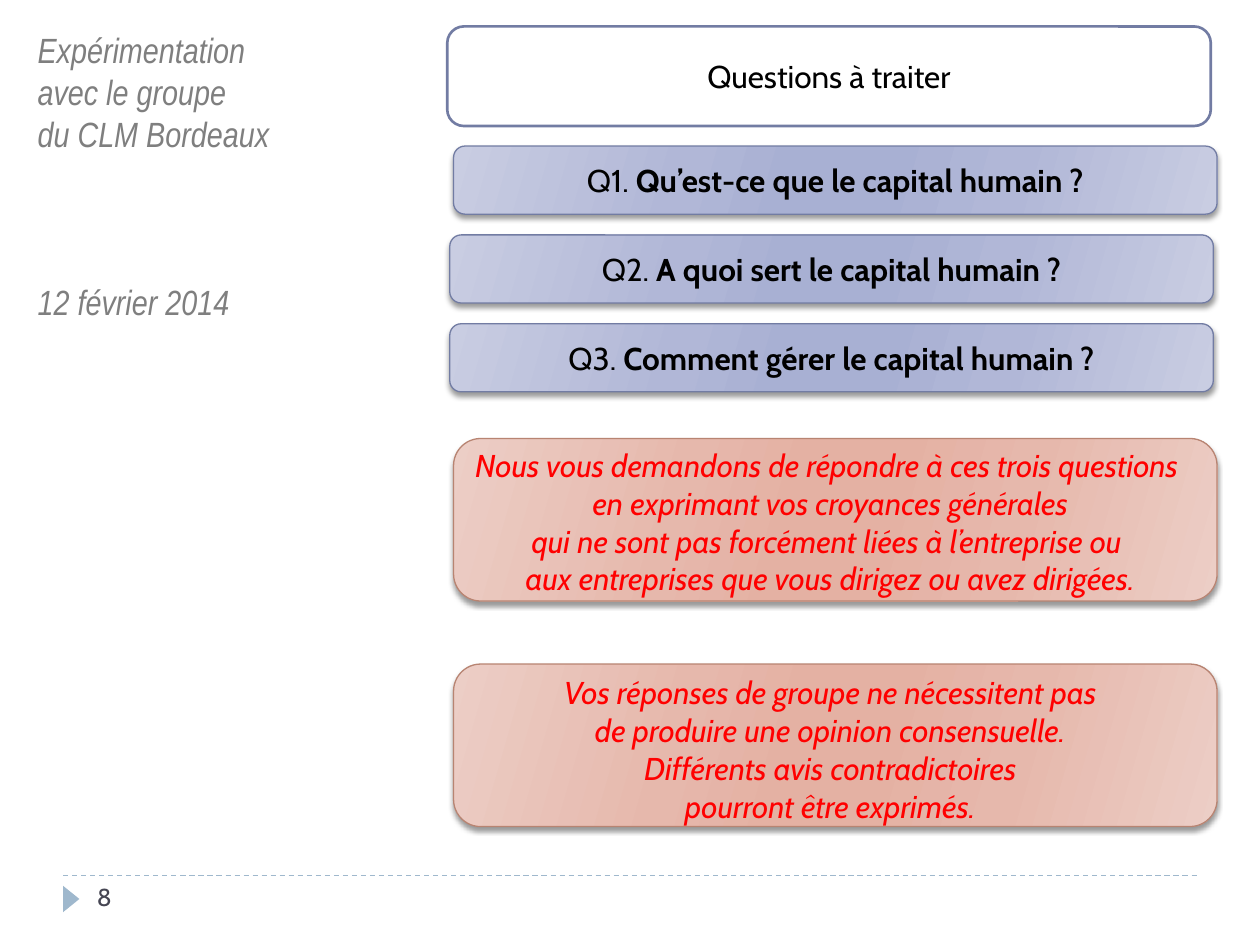
"""Build the slide that sets out the three questions on human capital."""
from dataclasses import dataclass

import lxml.etree
import pptx
import pptx.dml.color
import pptx.enum.dml
import pptx.enum.shapes
import pptx.enum.text
import pptx.oxml.ns
import pptx.util

COLUMNS, ROWS = 100, 75
COLOURS = {
    "paper": "FFFFFF", "ink": "000000", "number": "464653", "aside": "7F7F7F",
    "advice": "FF0000", "footer": "9FB8CD", "question": "727CA3", "note": "B88472",
}
GRADIENTS = {
    "question": ("C9CDE2", "B1B7D7", "A8B0D3"),
    "note": ("ECCEC6", "E6B8AC", "E4B1A3"),
}
STOPS = ((0, 0), (30, 1), (45, 2), (55, 2), (73, 1), (100, 0))
SHAPES = pptx.enum.shapes.MSO_SHAPE
CENTRE = pptx.enum.text.PP_ALIGN.CENTER
LEFT = pptx.enum.text.PP_ALIGN.LEFT


@dataclass(frozen=True)
class Area:
    """A place on the grid, in columns and rows."""
    column: float
    row: float
    columns: float
    rows: float


@dataclass(frozen=True)
class Style:
    """The look of a text."""
    font: str
    size: float
    colour: str
    italic: bool = False
    align: int = LEFT


@dataclass(frozen=True)
class Line:
    """One paragraph: plain words, bold words and the space before it."""
    plain: str
    bold: str = ""
    gap: float = 0


@dataclass(frozen=True)
class Panel:
    """A rounded panel with a colour theme and an optional heading."""
    area: Area
    theme: str
    heading: Line | None = None
    shaded: bool = True


LABEL = Style("Cabin", 18, "ink", align=CENTRE)
ADVICE = Style("Cabin", 18, "advice", True, CENTRE)
ASIDE = Style("Arial Narrow", 20, "aside", True)
NUMBER = Style("Cabin", 14, "number")

QUESTIONS = (
    (36, "Qu’est-ce que le capital humain ?"),
    (35.7, "A quoi sert le capital humain ?"),
    (35.7, "Comment gérer le capital humain ?"),
)
NOTES = [Panel(Area(36, 34.8 + 17.9 * i, 60.6, 12.9), "note") for i in range(2)]
HEADINGS = [
    Panel(Area(column, 11.6 + 7.05 * i, 60.6, 5.4), "question", Line(f"Q{i + 1}. ", question))
    for i, (column, question) in enumerate(QUESTIONS)
] + [Panel(Area(35.5, 2.1, 60.6, 7.9), "question", Line("Questions à traiter"), False)]
INSTRUCTIONS = (
    Line("Nous vous demandons de répondre à ces trois questions "),
    Line("en exprimant vos croyances générales"),
    Line("qui ne sont pas forcément liées à l’entreprise ou "),
    Line("aux entreprises que vous dirigez ou avez dirigées."),
    Line("Vos réponses de groupe ne nécessitent pas", gap=43.5),
    Line("de produire une opinion consensuelle."),
    Line("Différents avis contradictoires"),
    Line("pourront être exprimés."),
)
CONTEXT = (
    Line("Expérimentation"),
    Line("avec le groupe"),
    Line("du CLM Bordeaux"),
    Line("12 février 2014", gap=72),
)


def rgb(name: str) -> pptx.dml.color.RGBColor:
    return pptx.dml.color.RGBColor.from_string(COLOURS[name])


def across(columns: float, slide_width: int) -> int:
    return round(columns / COLUMNS * slide_width)


def down(rows: float, slide_height: int) -> int:
    return round(rows / ROWS * slide_height)


def place(area: Area, deck) -> tuple[int, int, int, int]:
    width, height = deck.slide_width, deck.slide_height
    return (across(area.column, width), down(area.row, height),
            across(area.columns, width), down(area.rows, height))


def add_child(parent, tag: str, **attributes):
    return lxml.etree.SubElement(
        parent, pptx.oxml.ns.qn(tag), {key: str(value) for key, value in attributes.items()})


def write(frame, lines: tuple[Line, ...], style: Style) -> None:
    frame.word_wrap = True
    for index, line in enumerate(lines):
        paragraph = frame.add_paragraph() if index else frame.paragraphs[0]
        paragraph.alignment = style.align
        if line.gap:
            paragraph.space_before = pptx.util.Pt(line.gap)
        for words, bold in ((line.plain, False), (line.bold, True)):
            if words:
                run = paragraph.add_run()
                run.text = words
                run.font.name = style.font
                run.font.size = pptx.util.Pt(style.size)
                run.font.color.rgb = rgb(style.colour)
                run.font.bold = bold
                run.font.italic = style.italic


def shade(shape, theme: str) -> None:
    shape.fill.gradient()
    properties = shape.element.spPr
    gradient = properties.find(pptx.oxml.ns.qn("a:gradFill"))
    for child in list(gradient):
        gradient.remove(child)
    stops = add_child(gradient, "a:gsLst")
    for position, tone in STOPS:
        stop = add_child(stops, "a:gs", pos=position * 1000)
        add_child(stop, "a:srgbClr", val=GRADIENTS[theme][tone])
    add_child(gradient, "a:lin", ang=16 * 60000, scaled=0)
    effects = properties.find(pptx.oxml.ns.qn("a:effectLst"))
    shadow = add_child(effects, "a:outerShdw", blurRad=pptx.util.Pt(3), dist=pptx.util.Pt(2),
                       dir=90 * 60000, rotWithShape=0)
    add_child(add_child(shadow, "a:srgbClr", val=COLOURS["ink"]), "a:alpha", val=40000)


def draw_panel(deck, slide, panel: Panel) -> None:
    shape = slide.shapes.add_shape(SHAPES.ROUNDED_RECTANGLE, *place(panel.area, deck))
    shape.shadow.inherit = False
    shape.line.color.rgb = rgb(panel.theme)
    shape.line.width = pptx.util.Pt(0.75 if panel.shaded else 1.5)
    if panel.shaded:
        shade(shape, panel.theme)
    else:
        shape.fill.solid()
        shape.fill.fore_color.rgb = rgb("paper")
    if panel.heading:
        shape.text_frame.vertical_anchor = pptx.enum.text.MSO_ANCHOR.MIDDLE
        write(shape.text_frame, (panel.heading,), LABEL)


def draw_text(deck, slide, area: Area, lines: tuple[Line, ...], style: Style) -> None:
    write(slide.shapes.add_textbox(*place(area, deck)).text_frame, lines, style)


def draw_footer(deck, slide) -> None:
    left, top, width, _ = place(Area(5, 69.5, 90, 0), deck)
    rule = slide.shapes.add_connector(
        pptx.enum.shapes.MSO_CONNECTOR.STRAIGHT, left, top, left + width, top)
    rule.line.color.rgb = rgb("footer")
    rule.line.width = pptx.util.Pt(0.75)
    rule.line.dash_style = pptx.enum.dml.MSO_LINE.DASH
    add_child(rule.element.spPr, "a:effectLst")
    marker = slide.shapes.add_shape(
        SHAPES.ISOSCELES_TRIANGLE, *place(Area(4.6, 70.7, 2.1, 1.3), deck))
    marker.rotation = 90
    marker.shadow.inherit = False
    marker.fill.solid()
    marker.fill.fore_color.rgb = rgb("footer")
    marker.line.fill.background()


def main() -> None:
    deck = pptx.Presentation()
    deck.slide_width, deck.slide_height = pptx.util.Inches(10), pptx.util.Inches(7.5)
    slide = deck.slides.add_slide(deck.slide_layouts[6])
    draw_footer(deck, slide)
    for note in NOTES:
        draw_panel(deck, slide, note)
    draw_text(deck, slide, Area(33.6, 34.9, 64.6, 31.3), INSTRUCTIONS, ADVICE)
    for heading in HEADINGS:
        draw_panel(deck, slide, heading)
    draw_text(deck, slide, Area(6.7, 69.5, 21.7, 4), (Line("8"),), NUMBER)
    draw_text(deck, slide, Area(2, 1.8, 96.9, 24.6), CONTEXT, ASIDE)
    deck.save("out.pptx")


if __name__ == "__main__":
    main()
